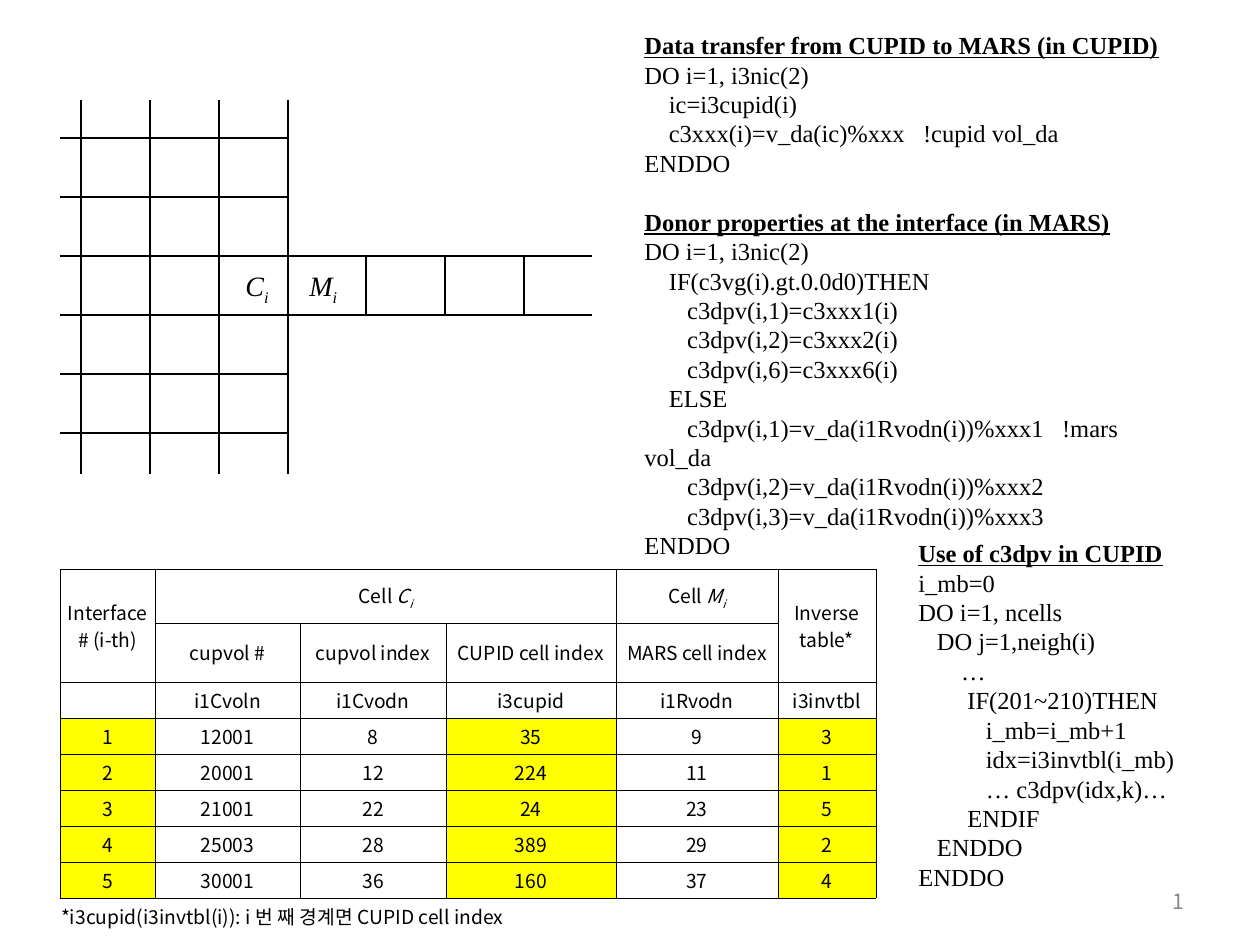
from dataclasses import dataclass

from lxml import etree
from pptx import Presentation
from pptx import util as u
from pptx.dml import color
from pptx.enum import shapes, text
from pptx.oxml import ns

PX = 914400 / 126
COLORS = {"ink": "000000", "paper": "FFFFFF", "mark": "FFFF00", "number": "898989"}
SERIF, SANS = "Times New Roman", "Noto Sans CJK KR"


@dataclass
class Line:
    x1: int
    y1: int
    x2: int
    y2: int


@dataclass
class Span:
    words: str
    italic: bool = False
    sub: bool = False


@dataclass
class Style:
    font: str
    size: int
    color: str = "ink"
    heading: bool = False


@dataclass
class CodeBox:
    left: int
    top: int
    width: int
    height: int
    blocks: list[str]  # first line of each block is its heading


def px(length: int) -> u.Emu:
    return u.Emu(round(length * PX))


def add_span(para, span: Span, style: Style) -> None:
    run = para.add_run()
    run.text = span.words
    font = run.font
    font.name, font.size = style.font, u.Pt(style.size)
    font.color.rgb = color.RGBColor.from_string(COLORS[style.color])
    font.bold, font.underline, font.italic = style.heading, style.heading, span.italic
    props = run._r.get_or_add_rPr()
    etree.SubElement(props, ns.qn("a:ea"), typeface=style.font)
    if span.sub:
        props.set("baseline", "-25000")


def add_line(parent, line: Line) -> None:
    connector = parent.add_connector(
        shapes.MSO_CONNECTOR.STRAIGHT, px(line.x1), px(line.y1), px(line.x2), px(line.y2))
    connector.line.width = u.Pt(0.75)
    connector.line.color.rgb = color.RGBColor.from_string(COLORS["ink"])
    etree.SubElement(connector._element.spPr, ns.qn("a:effectLst"))


def add_box(parent, left: int, top: int, width: int, height: int, wrap: bool = False):
    frame = parent.add_textbox(px(left), px(top), px(width), px(height)).text_frame
    frame.word_wrap = wrap
    if not wrap:
        frame.auto_size = text.MSO_AUTO_SIZE.SHAPE_TO_FIT_TEXT
    return frame


def add_code(parent, code: CodeBox) -> None:
    frame = add_box(parent, code.left, code.top, code.width, code.height)
    for block_index, block in enumerate(code.blocks):
        for line_index, words in enumerate(block.strip("\n").split("\n")):
            first = block_index == line_index == 0
            para = frame.paragraphs[0] if first else frame.add_paragraph()
            if block_index and not line_index:
                para.space_before = u.Pt(16.8)
            add_span(para, Span(words), Style(SERIF, 14, heading=not line_index))


def set_borders(cell, sides: str) -> None:
    props = cell._tc.get_or_add_tcPr()
    for index, side in enumerate("LRTB"):
        border = etree.Element(ns.qn(f"a:ln{side}"), w="2921")
        if side in sides:
            fill = etree.SubElement(border, ns.qn("a:solidFill"))
            etree.SubElement(fill, ns.qn("a:srgbClr"), val=COLORS["ink"])
        else:
            etree.SubElement(border, ns.qn("a:noFill"))
        props.insert(index, border)


def fill_cell(cell, spans: list[Span], fill: str, sides: str, align) -> None:
    cell.margin_left = cell.margin_right = px(1)
    cell.margin_top = cell.margin_bottom = px(4)
    cell.vertical_anchor = text.MSO_ANCHOR.MIDDLE
    cell.fill.solid()
    cell.fill.fore_color.rgb = color.RGBColor.from_string(COLORS[fill])
    set_borders(cell, sides)
    para = cell.text_frame.paragraphs[0]
    para.alignment = align
    para.font.size = u.Pt(11)
    for span in spans:
        for index, words in enumerate(span.words.split("\n")):
            if index:
                para.add_line_break()
            add_span(para, Span(words, span.italic, span.sub), Style(SANS, 11))


def symbol(letter: str) -> list[Span]:
    return [Span(letter, True), Span("i", True, True)]


# Mesh: CUPID cells on the left, MARS pipe on the right
MESH = (
    [Line(x, 100, x, 474) for x in range(81, 289, 69)]
    + [Line(60, y, 592 if y in (256, 315) else 288, y) for y in range(138, 434, 59)]
    + [Line(x, 256, x, 315) for x in range(366, 525, 79)]
)

# Code listings
TRANSFER = """
Data transfer from CUPID to MARS (in CUPID)
DO i=1, i3nic(2)
    ic=i3cupid(i)
    c3xxx(i)=v_da(ic)%xxx   !cupid vol_da
ENDDO
"""
DONOR = """
Donor properties at the interface (in MARS)
DO i=1, i3nic(2)
    IF(c3vg(i).gt.0.0d0)THEN
       c3dpv(i,1)=c3xxx1(i)
       c3dpv(i,2)=c3xxx2(i)
       c3dpv(i,6)=c3xxx6(i)
    ELSE
       c3dpv(i,1)=v_da(i1Rvodn(i))%xxx1   !mars vol_da
       c3dpv(i,2)=v_da(i1Rvodn(i))%xxx2
       c3dpv(i,3)=v_da(i1Rvodn(i))%xxx3
ENDDO
"""
USE = """
Use of c3dpv in CUPID
i_mb=0
DO i=1, ncells
   DO j=1,neigh(i)
       …
        IF(201~210)THEN
           i_mb=i_mb+1
           idx=i3invtbl(i_mb)
           … c3dpv(idx,k)…
        ENDIF
   ENDDO
ENDDO
"""
CODE_BOXES = [CodeBox(632, 24, 572, 513, [TRANSFER, DONOR]),
              CodeBox(906, 532, 281, 396, [USE])]

# Index table
COLUMNS = [95, 145, 146, 170, 162, 98]
ROWS = [54, 59] + [36] * 7
MARKED = (0, 3, 5)
CELLS = [
    ["Interface\n# (i-th)", [Span("Cell "), *symbol("C")], "", "",
     [Span("Cell "), *symbol("M")], "Inverse\ntable*"],
    ["", "cupvol #", "cupvol index", "CUPID cell index", "MARS cell index", ""],
    ["", "i1Cvoln", "i1Cvodn", "i3cupid", "i1Rvodn", "i3invtbl"],
    ["1", "12001", "8", "35", "9", "3"],
    ["2", "20001", "12", "224", "11", "1"],
    ["3", "21001", "22", "24", "23", "5"],
    ["4", "25003", "28", "389", "29", "2"],
    ["5", "30001", "36", "160", "37", "4"],
    ["*i3cupid(i3invtbl(i)): i 번 째 경계면 CUPID cell index"] + [""] * 5,
]
MERGES = [(0, 0, 1, 0), (0, 1, 0, 3), (0, 5, 1, 5), (8, 0, 8, 3)]


def add_index_table(parent) -> None:
    table = parent.add_table(len(ROWS), len(COLUMNS), px(60), px(569),
                             px(sum(COLUMNS)), px(sum(ROWS))).table
    table.first_row = table.horz_banding = False
    for column, width in zip(table.columns, COLUMNS):
        column.width = px(width)
    for row, height in zip(table.rows, ROWS):
        row.height = px(height)
    for r, values in enumerate(CELLS):
        footnote = r == len(ROWS) - 1
        for c, value in enumerate(values):
            spans = value if isinstance(value, list) else [Span(value)] if value else []
            marked = 3 <= r and not footnote and c in MARKED
            fill_cell(table.cell(r, c), spans, "mark" if marked else "paper",
                      "T" if footnote else "LRTB",
                      text.PP_ALIGN.LEFT if footnote else text.PP_ALIGN.CENTER)
    for top, left, bottom, right in MERGES:
        table.cell(top, left).merge(table.cell(bottom, right))


def main() -> None:
    deck = Presentation()
    deck.slide_width, deck.slide_height = u.Inches(10), u.Inches(7.5)
    page = deck.slides.add_slide(deck.slide_layouts[6])

    # Mesh with its two cell labels
    mesh = page.shapes.add_group_shape().shapes
    for line in MESH:
        add_line(mesh, line)
    para = add_box(mesh, 233, 262, 117, 52).paragraphs[0]
    tabs = etree.SubElement(para._p.get_or_add_pPr(), ns.qn("a:tabLst"))
    etree.SubElement(tabs, ns.qn("a:tab"), pos=str(px(64)), algn="l")
    for span in [*symbol("C"), Span("\t"), *symbol("M")]:
        add_span(para, span, Style(SERIF, 16))

    for code in CODE_BOXES:
        add_code(page.shapes, code)
    add_index_table(page.shapes)

    # Page number
    frame = add_box(page.shapes, 903, 876, 294, 50, wrap=True)
    frame.vertical_anchor = text.MSO_ANCHOR.MIDDLE
    frame.paragraphs[0].alignment = text.PP_ALIGN.RIGHT
    add_span(frame.paragraphs[0], Span("1"), Style(SANS, 12, "number"))

    deck.save("out.pptx")


if __name__ == "__main__":
    main()
